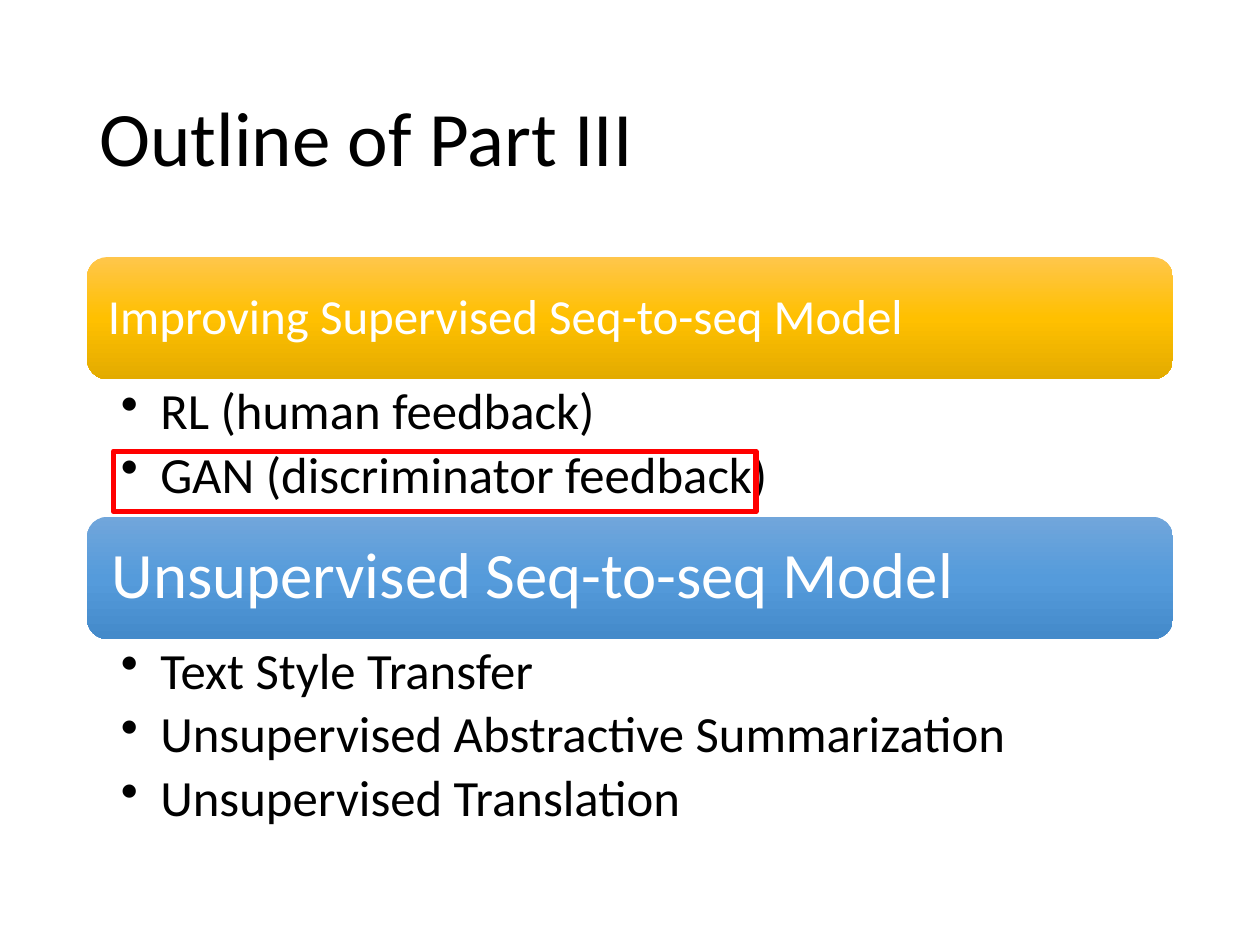
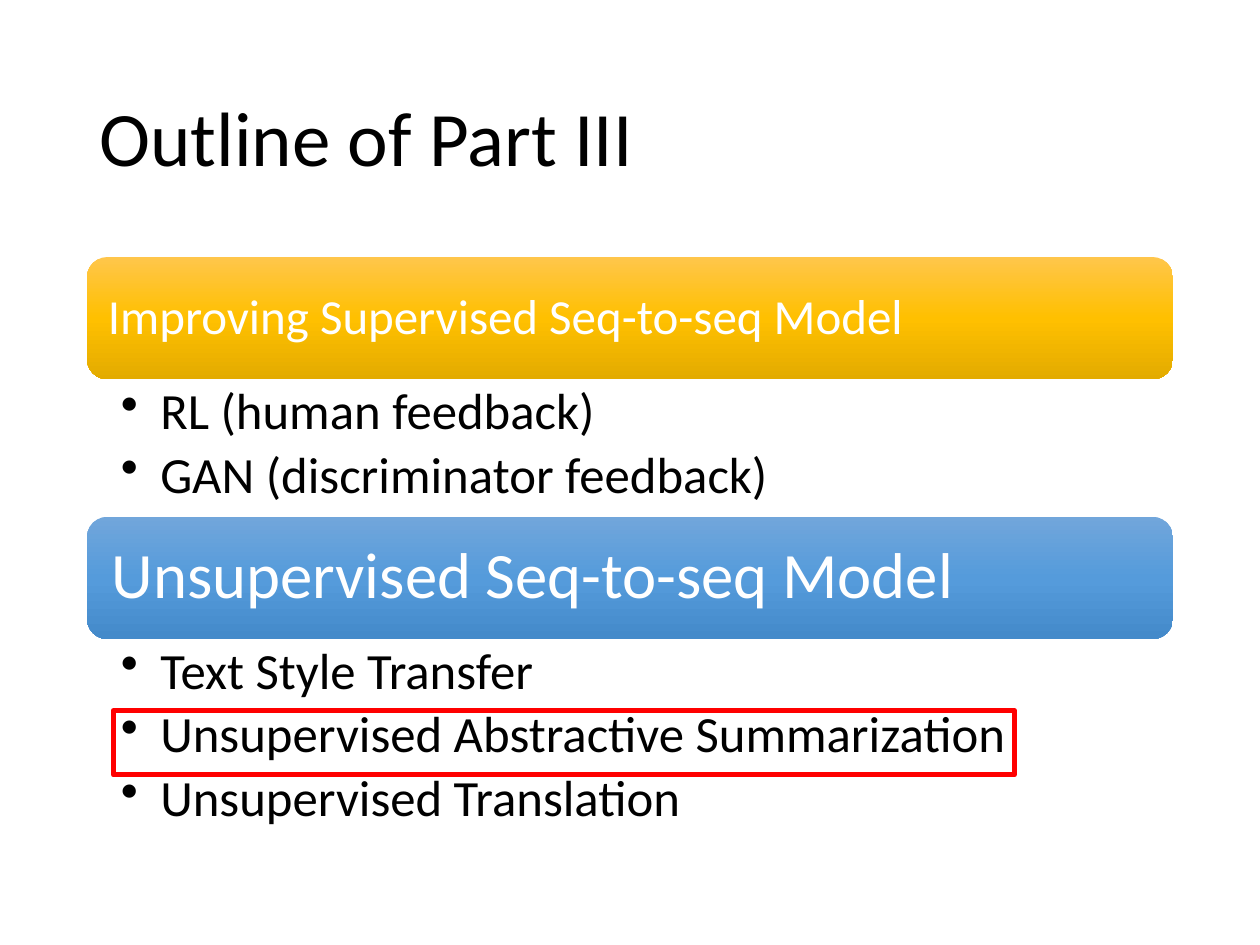
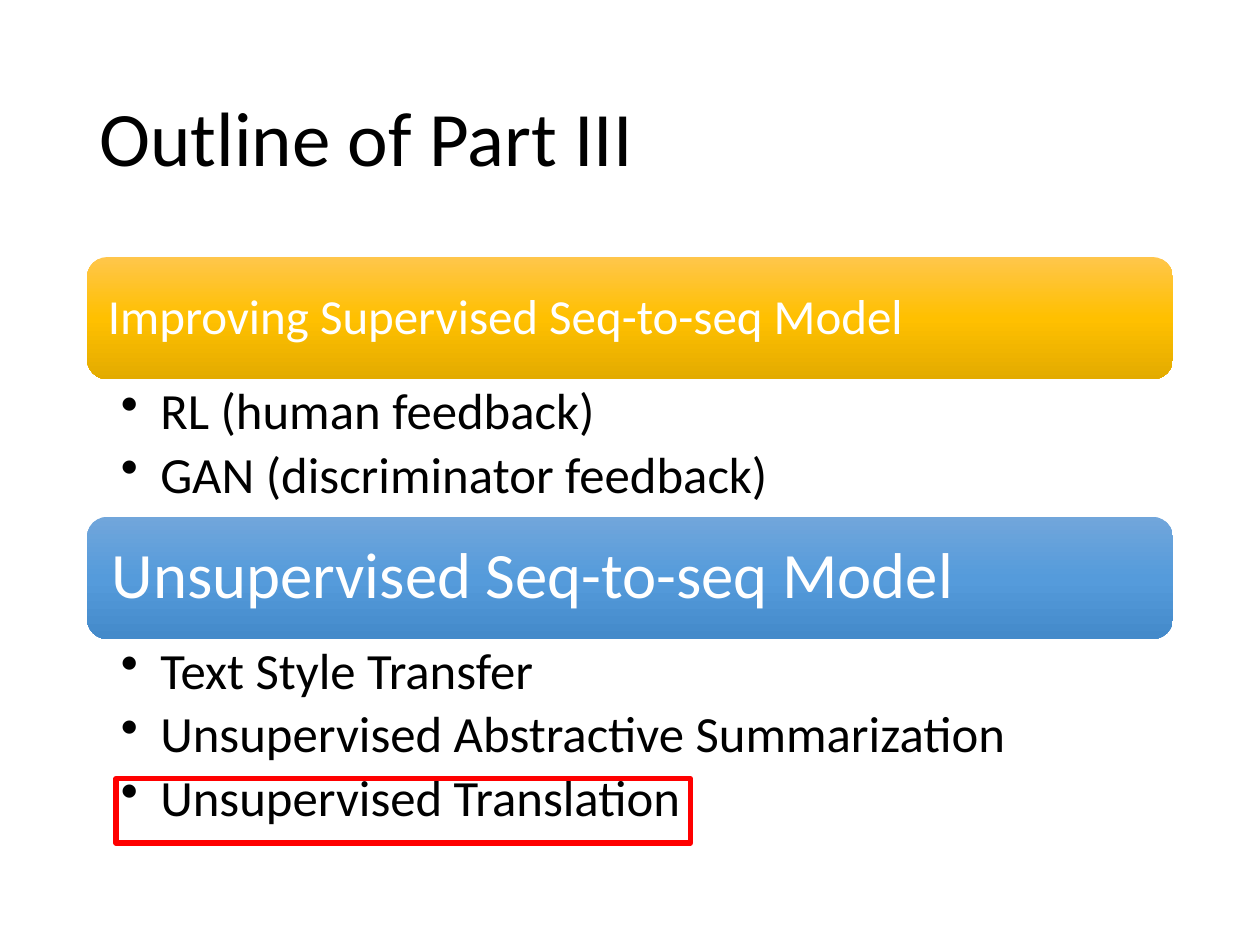
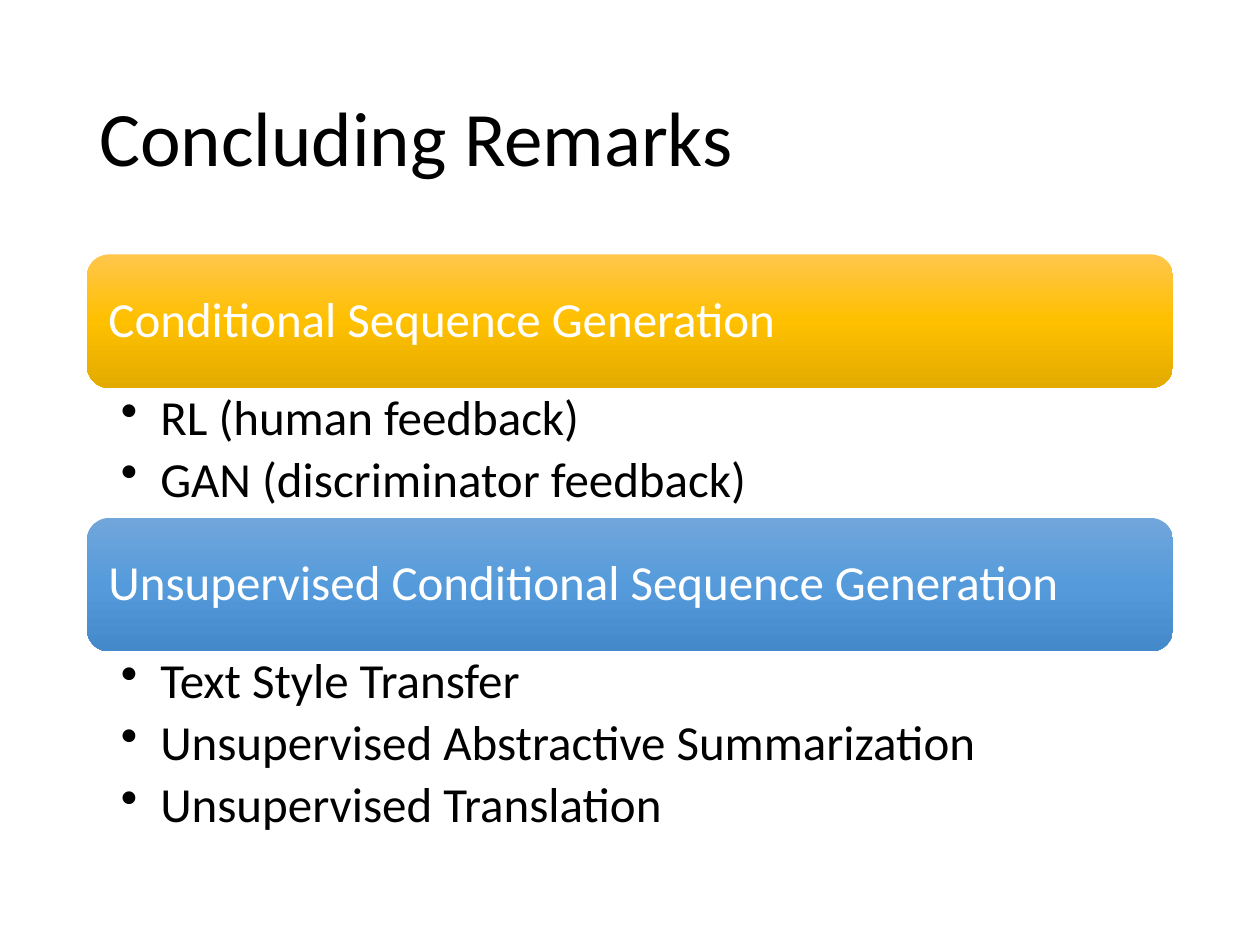
from collections import namedtuple
from copy import deepcopy

from lxml import etree
from pptx import Presentation
from pptx.dml.color import RGBColor
from pptx.enum import shapes, text
from pptx.oxml import ns
from pptx.util import Pt

Box = namedtuple("Box", "left top width height")
Metrics = namedtuple("Metrics", "top band lists size margins")

FONT = "Calibri"
BLACK, WHITE, RED = "000000", "FFFFFF", "FF0000"
AMBER = ("FFC64B", "FFC000", "E3AB00")
BLUE = ("71A6DB", "559BDB", "448ACA")
LEFT, WIDTH = 49.7, 620.6
TITLE_BOX = Box(LEFT, 28.8, WIDTH, 104.4)

OUTLINE = Metrics(146.9, 69.9, (78.5, 117.4), 29, (19.4, 3.6, 20.9, 3.6))
REMARKS = Metrics(145.4, 76.3, (74.3, 112.3), 28, (19.4, 2.9, 15.8, 2.9))

TOPICS = (
    ("RL (human feedback)", "GAN (discriminator feedback)"),
    ("Text Style Transfer", "Unsupervised Abstractive Summarization", "Unsupervised Translation"),
)
OUTLINE_HEADS = (
    ("Improving Supervised Seq-to-seq Model", 28, 8.6),
    ("Unsupervised Seq-to-seq Model", 37, 10.8),
)
REMARKS_HEADS = (
    ("Conditional Sequence Generation", 28, 8.6),
    ("Unsupervised Conditional Sequence Generation", 28, 8.6),
)
MARKERS = (
    Box(15.1, 110.9, 367.2, 34.6),
    Box(15.1, 259.2, 514.8, 36.7),
    Box(16.6, 298.1, 328.3, 36.7),
)


def color(value):
    return RGBColor.from_string(value)


def apply(target, formats):
    for name, value in formats.items():
        setattr(target, name, value)


def points(box):
    return [Pt(value) for value in box]


def add_box_shape(page, kind, box):
    shape = page.shapes.add_shape(kind, *points(box))
    shape.shadow.inherit = False
    return shape


def set_frame(frame, margins, anchor):
    sides = ("margin_left", "margin_top", "margin_right", "margin_bottom")
    apply(frame, dict(zip(sides, points(margins))))
    apply(frame, {"word_wrap": True, "vertical_anchor": anchor})


def write(para, words, size, tint):
    apply(para, {"alignment": text.PP_ALIGN.LEFT, "line_spacing": 0.9})
    span = para.add_run()
    span.text = words
    apply(span.font, {"name": FONT, "size": Pt(size)})
    span.font.color.rgb = color(tint)


def add_title(page, box, words):
    frame = page.shapes.add_textbox(*points(box)).text_frame
    set_frame(frame, (7.2, 3.6, 7.2, 3.6), text.MSO_ANCHOR.MIDDLE)
    write(frame.paragraphs[0], words, 44, BLACK)


def fill_gradient(shape, tints):
    shape.fill.gradient()
    shape.fill.gradient_angle = 270
    stop_list = shape._element.spPr.find(".//" + ns.qn("a:gsLst"))
    stop_list.append(deepcopy(stop_list[0]))
    for index, (stop, tint) in enumerate(zip(shape.fill.gradient_stops, tints)):
        stop.position = index / 2
        stop.color.rgb = color(tint)


def add_band(page, box, head, tints):
    words, size, margin = head
    band = add_box_shape(page, shapes.MSO_SHAPE.ROUNDED_RECTANGLE, box)
    fill_gradient(band, tints)
    band.line.fill.background()
    set_frame(band.text_frame, [margin] * 4, text.MSO_ANCHOR.MIDDLE)
    write(band.text_frame.paragraphs[0], words, size, WHITE)


def add_topics(page, box, topics, metrics):
    frame = page.shapes.add_textbox(*points(box)).text_frame
    set_frame(frame, metrics.margins, text.MSO_ANCHOR.TOP)
    for index, topic in enumerate(topics):
        para = frame.add_paragraph() if index else frame.paragraphs[0]
        props = para._p.get_or_add_pPr()
        props.set("marL", str(Pt(22.5)))
        props.set("indent", str(Pt(-22.5)))
        etree.SubElement(props, ns.qn("a:buChar")).set("char", "•")
        apply(para, {"level": 1, "space_after": Pt(round(metrics.size * 0.18, 1))})
        write(para, topic, metrics.size, BLACK)


def add_sections(page, heads, metrics):
    top = metrics.top
    for head, topics, tints, height in zip(heads, TOPICS, (AMBER, BLUE), metrics.lists):
        add_band(page, Box(LEFT, top, WIDTH, metrics.band), head, tints)
        top += metrics.band
        add_topics(page, Box(LEFT, top, WIDTH, height), topics, metrics)
        top += height


def add_marker(page, box):
    place = box._replace(left=LEFT + box.left, top=OUTLINE.top + box.top)
    marker = add_box_shape(page, shapes.MSO_SHAPE.RECTANGLE, place)
    marker.fill.background()
    marker.line.color.rgb = color(RED)
    marker.line.width = Pt(3)


def add_page(deck, title, heads, metrics):
    page = deck.slides.add_slide(deck.slide_layouts[6])
    add_title(page, TITLE_BOX, title)
    add_sections(page, heads, metrics)
    return page


def main():
    deck = Presentation()
    apply(deck, {"slide_width": Pt(720), "slide_height": Pt(540)})
    for marker in MARKERS:
        page = add_page(deck, "Outline of Part III", OUTLINE_HEADS, OUTLINE)
        add_marker(page, marker)
    add_page(deck, "Concluding Remarks", REMARKS_HEADS, REMARKS)
    deck.save("out.pptx")


if __name__ == "__main__":
    main()
